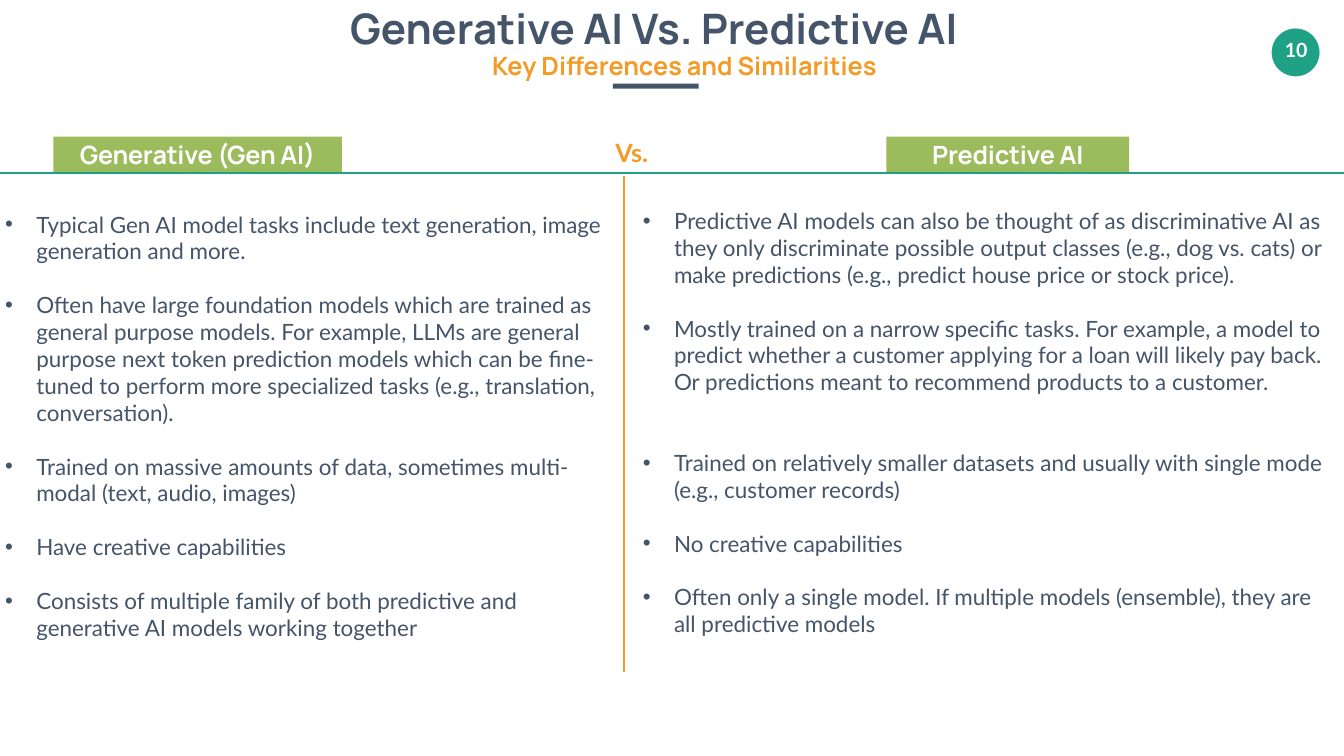
from dataclasses import dataclass

from lxml.etree import SubElement
from pptx import Presentation
from pptx.dml.color import RGBColor
from pptx.enum.shapes import MSO_CONNECTOR, MSO_SHAPE
from pptx.enum.text import MSO_ANCHOR, MSO_AUTO_SIZE, PP_ALIGN
from pptx.oxml.ns import qn
from pptx.util import Pt

PX = 9144
WIDTH, HEIGHT = 2666, 1500


@dataclass(frozen=True)
class Theme:
    """Colours, fonts and type sizes of the slide."""
    ink: str = "445469"
    orange: str = "F29B26"
    teal: str = "1EA185"
    green: str = "9BBB5C"
    white: str = "FFFFFF"
    head_font: str = "Manrope"
    body_font: str = "Lato"
    title: int = 60
    heading: int = 36
    body: int = 32
    number: int = 28
    gap: float = 38.4
    indent: int = 62


T = Theme()
LEFT_ITEMS = [
    ("Typical Gen AI model tasks include text generation, image generation and more.", 0),
    ("Often have large foundation models which are trained as general purpose models. "
     "For example, LLMs are general purpose next token prediction models which can be "
     "fine-tuned to perform more specialized tasks (e.g., translation, conversation).", 1),
    ("Trained on massive amounts of data, sometimes multi-modal (text, audio, images)", 1),
    ("Have creative capabilities", 1),
    ("Consists of multiple family of both predictive and generative AI models "
     "working together", 1),
]
RIGHT_ITEMS = [
    ("Predictive AI models can also be thought of as discriminative AI as they only "
     "discriminate possible output classes (e.g., dog vs. cats) or make predictions "
     "(e.g., predict house price or stock price).", 0),
    ("Mostly trained on a narrow specific tasks. For example, a model to predict whether "
     "a customer applying for a loan will likely pay back. Or predictions meant to "
     "recommend products to a customer.", 1),
    ("Trained on relatively smaller datasets and usually with single mode "
     "(e.g., customer records)", 2),
    ("No creative capabilities", 1),
    ("Often only a single model. If multiple models (ensemble), they are all "
     "predictive models", 1),
]


def rgb(color):
    """Return a hex string as a colour."""
    return RGBColor.from_string(color)


def emu(*lengths):
    """Turn px lengths into EMU."""
    return [n * PX for n in lengths]


def write(p, text, size=T.body, font=T.body_font, color=T.ink, bold=False,
          align=PP_ALIGN.LEFT, before=0, bullet=False, spacing=None):
    """Fill a paragraph with one formatted run."""
    p.alignment = align
    p.space_before = Pt(before)
    if bullet:
        pPr = p._p.get_or_add_pPr()
        pPr.set("marL", str(T.indent * PX))
        pPr.set("indent", str(-T.indent * PX))
        SubElement(pPr, qn("a:buFont"), typeface="Arial")
        SubElement(pPr, qn("a:buChar"), char="•")
    r = p.add_run()
    r.text = text
    r.font.size, r.font.name, r.font.bold = Pt(size), font, bold
    r.font.color.rgb = rgb(color)
    if spacing is not None:
        r._r.get_or_add_rPr().set("spc", str(spacing))


def prepare(tf, anchor=MSO_ANCHOR.TOP, wrap=True):
    """Set wrapping and anchoring of a text frame."""
    tf.word_wrap = wrap
    tf.auto_size = MSO_AUTO_SIZE.NONE
    tf.vertical_anchor = anchor
    return tf


def place(sp, x, y, w, h):
    """Move a placeholder and return its text frame."""
    sp.left, sp.top, sp.width, sp.height = emu(x, y, w, h)
    return prepare(sp.text_frame)


def label(s, x, y, w, h, text, wrap=True, **fmt):
    """Add a text box holding one line."""
    tf = prepare(s.shapes.add_textbox(*emu(x, y, w, h)).text_frame, wrap=wrap)
    write(tf.paragraphs[0], text, **fmt)


def block(s, kind, x, y, w, h, color):
    """Add a plain filled shape."""
    sp = s.shapes.add_shape(kind, *emu(x, y, w, h))
    sp.shadow.inherit = False
    sp.fill.solid()
    sp.fill.fore_color.rgb = rgb(color)
    sp.line.fill.background()
    return sp


def rule(s, x1, y1, x2, y2, color):
    """Add a straight line without shadow."""
    line = s.shapes.add_connector(MSO_CONNECTOR.STRAIGHT, *emu(x1, y1, x2, y2))
    line.line.color.rgb = rgb(color)
    line.line.width = Pt(3)
    SubElement(line._element.spPr, qn("a:effectLst"))


def header(s, x, y, w, h):
    """Place the title, the subtitle and the short bar below them."""
    tf = place(s.shapes.title, x, y, w, 111)
    write(tf.paragraphs[0], "Generative AI Vs. Predictive AI", size=T.title,
          font=T.head_font, bold=True, align=PP_ALIGN.CENTER)
    label(s, x + 397, y + 95, 1575, 71, "Key Differences and Similarities", size=T.heading,
          font=T.head_font, color=T.orange, bold=True, align=PP_ALIGN.CENTER)
    block(s, MSO_SHAPE.RECTANGLE, x + 1043, y + h - 10, 170, 10, T.ink)


def badge(s, x, y, w, h):
    """Place the round page number."""
    sp = block(s, MSO_SHAPE.OVAL, x, y, w, h, T.teal)
    sp.line.color.rgb = rgb(T.teal)
    sp.line.width = Pt(0.5)
    label(s, x + 4, y + 14, w - 6, 57, "10", wrap=False, size=T.number,
          color=T.white, bold=True, align=PP_ALIGN.CENTER)


def divider(s, x, y, w, h):
    """Place the Vs. mark, the baseline and the line between the columns."""
    label(s, 1211, y, 146, 71, "Vs.", size=T.heading, color=T.orange, bold=True)
    rule(s, x, y + 75, x + w, y + 75, T.teal)
    rule(s, 1237, y + 81, 1237, y + h, T.orange)


def column(s, x, y, w, h, body, heading, items, tab_x, tab_w, list_y):
    """Place a heading tab and the bullet list below it."""
    tab = block(s, MSO_SHAPE.RECTANGLE, x + tab_x, y, tab_w, 71, T.green)
    write(prepare(tab.text_frame, MSO_ANCHOR.MIDDLE).paragraphs[0], heading,
          size=T.heading, font=T.head_font, color=T.white, bold=True,
          align=PP_ALIGN.CENTER, spacing=-30)
    tf = place(body, x, y + list_y, w, h - list_y)
    for i, (text, gaps) in enumerate(items):
        p = tf.add_paragraph() if i else tf.paragraphs[0]
        write(p, text, before=gaps * T.gap, bullet=True)


def main():
    """Build and save the slide."""
    prs = Presentation()
    prs.slide_width, prs.slide_height = emu(WIDTH, HEIGHT)
    s = prs.slides.add_slide(prs.slide_layouts[3])
    header(s, 173, 0, 2248, 176)
    badge(s, 2523, 57, 94, 94)
    column(s, 0, 271, 1218, 1014, s.placeholders[1], "Generative (Gen AI)",
           LEFT_ITEMS, tab_x=106, tab_w=572, list_y=142)
    column(s, 1265, 271, 1370, 1168, s.placeholders[2], "Predictive AI",
           RIGHT_ITEMS, tab_x=493, tab_w=482, list_y=135)
    divider(s, 0, 268, WIDTH, 1066)
    prs.save("out.pptx")


if __name__ == "__main__":
    main()
